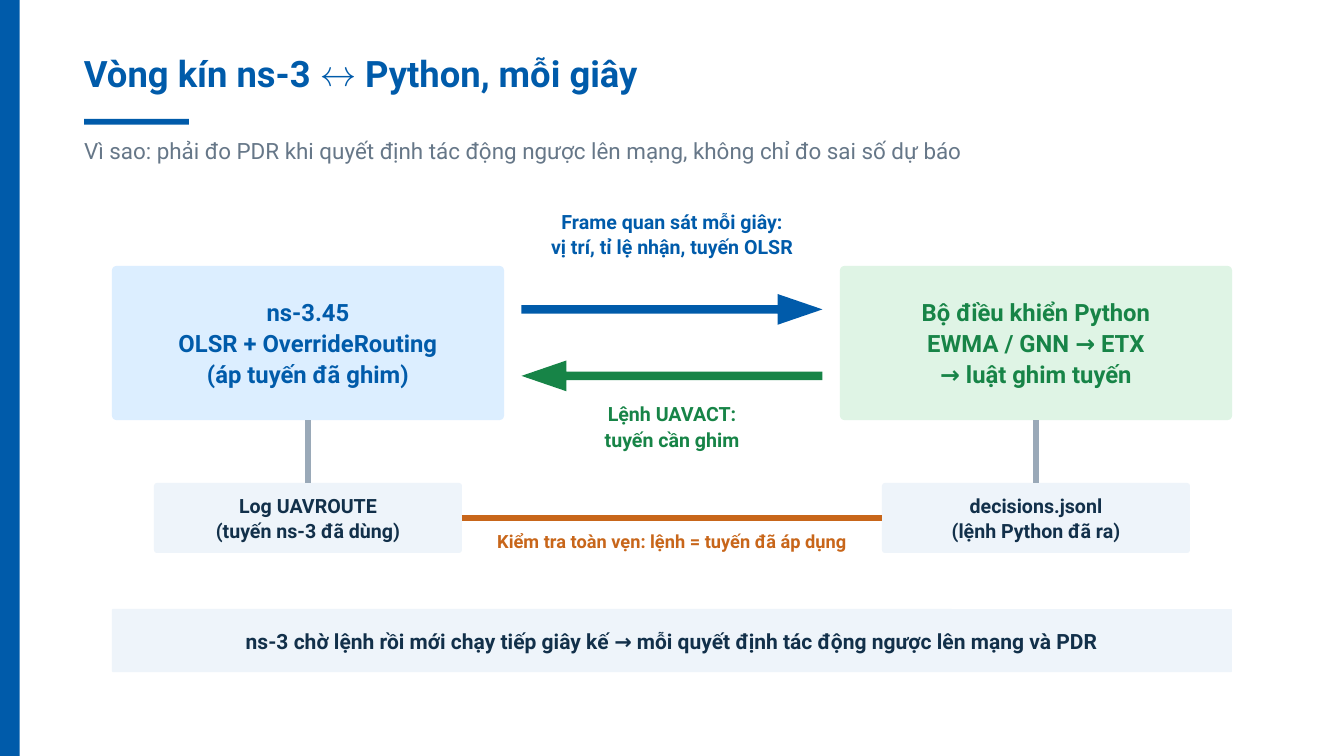
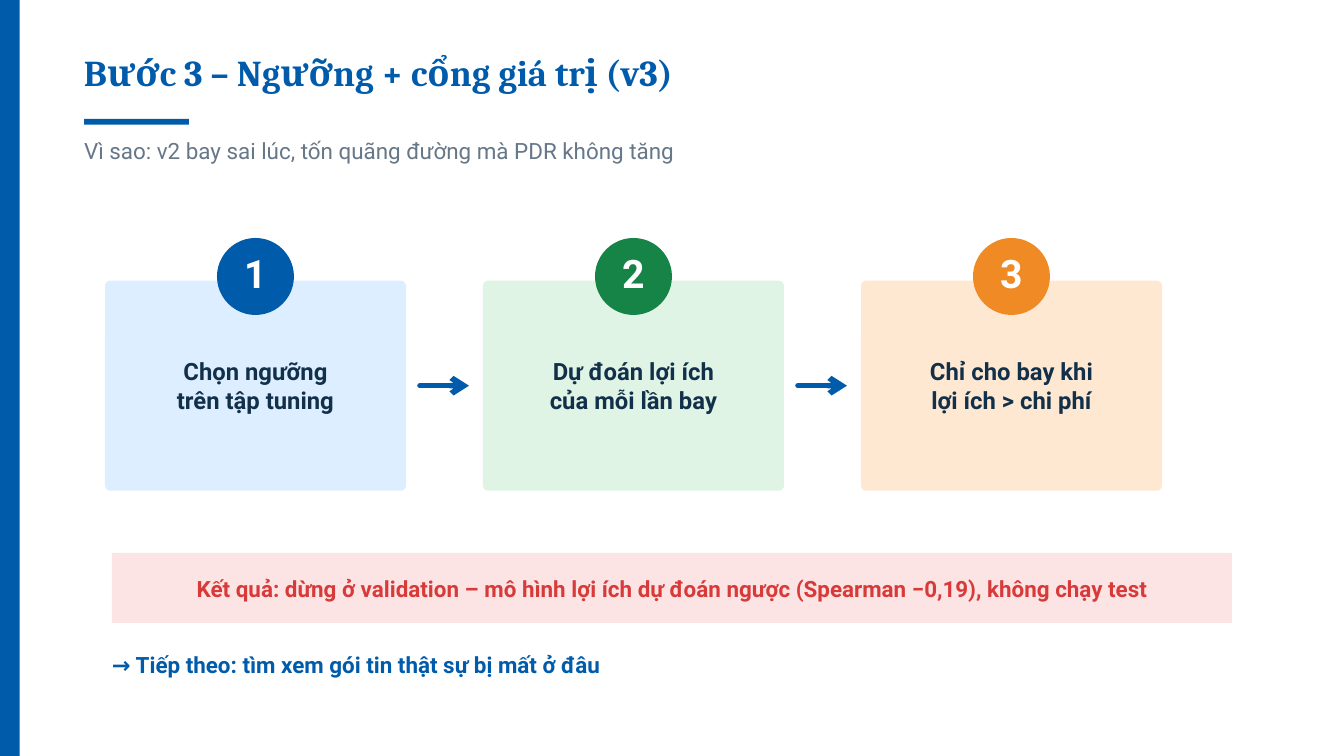
from lxml.etree import SubElement as Sub
from pptx import Presentation
from pptx.dml.color import RGBColor as Rgb
from pptx.enum.shapes import MSO_CONNECTOR as Conn, MSO_SHAPE as Form
from pptx.enum.text import MSO_ANCHOR as Anchor, PP_ALIGN as Align
from pptx.oxml.ns import qn
from pptx.util import Inches, Pt

WIDE, HIGH, COLS, ROWS = 20, 11.25, 96, 54
HUES = {
    "blue": "005BAA", "green": "178447", "orange": "F08A24", "rust": "C8661A",
    "red": "D83A3A", "navy": "12304A", "slate": "667788", "steel": "9AA9B8",
    "sky": "DCEEFF", "mint": "DFF4E5", "peach": "FFE8D2", "rose": "FDE4E4",
    "mist": "EEF4FA", "white": "FFFFFF",
}
FONTS = {
    "title": {"size": Pt(39), "bold": True},
    "why": {"size": Pt(24), "bold": False},
    "next": {"size": Pt(24), "bold": True},
    "main": {"size": Pt(25.5), "bold": True},
    "band": {"size": Pt(22.5), "bold": True},
    "label": {"size": Pt(21), "bold": True},
    "check": {"size": Pt(19.5), "bold": True},
    "count": {"size": Pt(42), "bold": True},
}
LEADS = {"main": 1.3, "label": 1.3, "count": 1.2}


def hue(name):
    return Rgb.from_string(HUES[name])


def place(col, row, cols, rows):
    x, y = WIDE / COLS, HIGH / ROWS
    return [Inches(n) for n in (col * x, row * y, cols * x, rows * y)]


class Deck:
    def __init__(self):
        self.prs = Presentation()
        self.prs.slide_width = Inches(WIDE)
        self.prs.slide_height = Inches(HIGH)

    def page(self, title, why, row, face="Roboto", lead=1.4):
        self.slide = self.prs.slides.add_slide(self.prs.slide_layouts[6])
        self.shape(Form.RECTANGLE, (0, 0, 1.4, ROWS), "blue")
        self.shape(Form.RECTANGLE, (6, 8.5, 7.5, 0.4), "blue")
        self.text((6, row, 70, 6.7 - row), title, "title", "blue",
                  Align.LEFT, face, lead)
        self.text((6, 9.45, 80, 2.15), why, "why", "slate", Align.LEFT)

    def label(self, shape, words, kind, ink, align=Align.CENTER,
              face="Roboto", lead=None, pad=0, lift=0):
        frame = shape.text_frame
        frame.text = words
        style = {"word_wrap": True, "margin_left": Inches(pad),
                 "margin_right": Inches(pad), "margin_top": Inches(pad),
                 "margin_bottom": Inches(pad + lift)}
        for key, value in style.items():
            setattr(frame, key, value)
        size = FONTS[kind]["size"].pt
        for par in frame.paragraphs:
            par.alignment = align
            par.line_spacing = Pt(round(size * (lead or LEADS.get(kind, 1.4)), 1))
            for key, value in {"name": face, **FONTS[kind]}.items():
                setattr(par.font, key, value)
            par.font.color.rgb = hue(ink)

    def text(self, spot, words, kind, ink, align=Align.CENTER,
             face="Roboto", lead=None):
        box = self.slide.shapes.add_textbox(*place(*spot))
        self.label(box, words, kind, ink, align, face, lead)
        box.text_frame.vertical_anchor = Anchor.TOP

    def shape(self, form, spot, fill, tweaks=()):
        item = self.slide.shapes.add_shape(form, *place(*spot))
        item.shadow.inherit = False
        item.fill.solid()
        item.fill.fore_color.rgb = hue(fill)
        item.line.fill.background()
        for i, value in enumerate(tweaks):
            item.adjustments[i] = value
        return item

    def card(self, spot, fill, words, kind, ink, curve, lead=None, lift=0.03):
        item = self.shape(Form.ROUNDED_RECTANGLE, spot, fill,
                          [curve / min(spot[2:])])
        self.label(item, words, kind, ink, lead=lead, pad=0.06, lift=lift)
        item.text_frame.vertical_anchor = Anchor.MIDDLE
        return item

    def disc(self, spot, fill, words):
        item = self.shape(Form.OVAL, spot, fill)
        self.label(item, words, "count", "white", lift=0.12)
        item.text_frame.vertical_anchor = Anchor.MIDDLE

    def line(self, ink, start=(0, 0), end=(0, 0), tip=False):
        left, top, right, base = place(*start, *end)
        item = self.slide.shapes.add_connector(
            Conn.STRAIGHT, left, top, right, base)
        item.line.color.rgb = hue(ink)
        item.line.width = Pt(6)
        if tip:
            stroke = item.line._get_or_add_ln()
            stroke.set("cap", "rnd")
            Sub(stroke, qn("a:tailEnd"), type="arrow")
        Sub(item._element.spPr, qn("a:effectLst"))
        return item

    def join(self, ink, first, out, last, into):
        item = self.line(ink)
        item.begin_connect(first, out)
        item.end_connect(last, into)


def loop(deck):
    deck.page("Vòng kín ns-3 ↔ Python, mỗi giây",
              "Vì sao: phải đo PDR khi quyết định tác động ngược lên mạng, "
              "không chỉ đo sai số dự báo", 3.1)
    sides = [
        (8, "sky", "blue",
         "ns-3.45\nOLSR + OverrideRouting\n(áp tuyến đã ghim)",
         "Log UAVROUTE\n(tuyến ns-3 đã dùng)"),
        (60, "mint", "green",
         "Bộ điều khiển Python\nEWMA / GNN → ETX\n→ luật ghim tuyến",
         "decisions.jsonl\n(lệnh Python đã ra)"),
    ]
    logs = []
    for col, fill, ink, words, note in sides:
        node = deck.card((col, 19, 28, 11), fill, words, "main", ink, 0.3)
        log = deck.card((col + 3, 34.5, 22, 5), "mist", note, "label",
                        "navy", 0.22)
        deck.join("steel", node, 2, log, 0)
        logs.append(log)
    deck.join("rust", logs[0], 3, logs[1], 1)
    flows = [
        (Form.RIGHT_ARROW, 21, "blue", 14.85,
         "Frame quan sát mỗi giây:\nvị trí, tỉ lệ nhận, tuyến OLSR"),
        (Form.LEFT_ARROW, 25.75, "green", 28.6, "Lệnh UAVACT:\ntuyến cần ghim"),
    ]
    for form, row, ink, top, words in flows:
        deck.shape(form, (37.25, row, 21.5, 2.2), ink, [0.28, 1.46])
        deck.text((36.5, top, 23, 3.6), words, "label", ink)
    deck.text((33, 37.6, 30, 1.8), "Kiểm tra toàn vẹn: lệnh = tuyến đã áp dụng",
              "check", "rust")
    deck.card((8, 43.5, 80, 4.5), "mist",
              "ns-3 chờ lệnh rồi mới chạy tiếp giây kế → mỗi quyết định "
              "tác động ngược lên mạng và PDR", "band", "navy", 0.06)


def gate(deck):
    deck.page("Bước 3 – Ngưỡng + cổng giá trị (v3)",
              "Vì sao: v2 bay sai lúc, tốn quãng đường mà PDR không tăng",
              3.75, "Cambria", 1.12)
    steps = [
        ("sky", "blue", "Chọn ngưỡng\ntrên tập tuning"),
        ("mint", "green", "Dự đoán lợi ích\ncủa mỗi lần bay"),
        ("peach", "orange", "Chỉ cho bay khi\nlợi ích > chi phí"),
    ]
    for i, (fill, ink, words) in enumerate(steps):
        col = 7.5 + 27 * i
        deck.card((col, 20.05, 21.5, 15), fill, words, "main", "navy",
                  0.36, 1.2, 0)
        deck.disc((col + 8, 17, 5.5, 5.5), ink, str(i + 1))
        if i:
            deck.line("blue", (col - 4.5, 27.55), (col - 1, 27.55), True)
    deck.card((8, 39.5, 80, 5), "rose",
              "Kết quả: dừng ở validation – mô hình lợi ích dự đoán ngược "
              "(Spearman −0,19), không chạy test", "next", "red", 0.06, lift=0.05)
    deck.text((8, 46.2, 80, 2.15),
              "→ Tiếp theo: tìm xem gói tin thật sự bị mất ở đâu",
              "next", "blue", Align.LEFT)


def main():
    deck = Deck()
    loop(deck)
    gate(deck)
    deck.prs.save("out.pptx")


if __name__ == "__main__":
    main()
